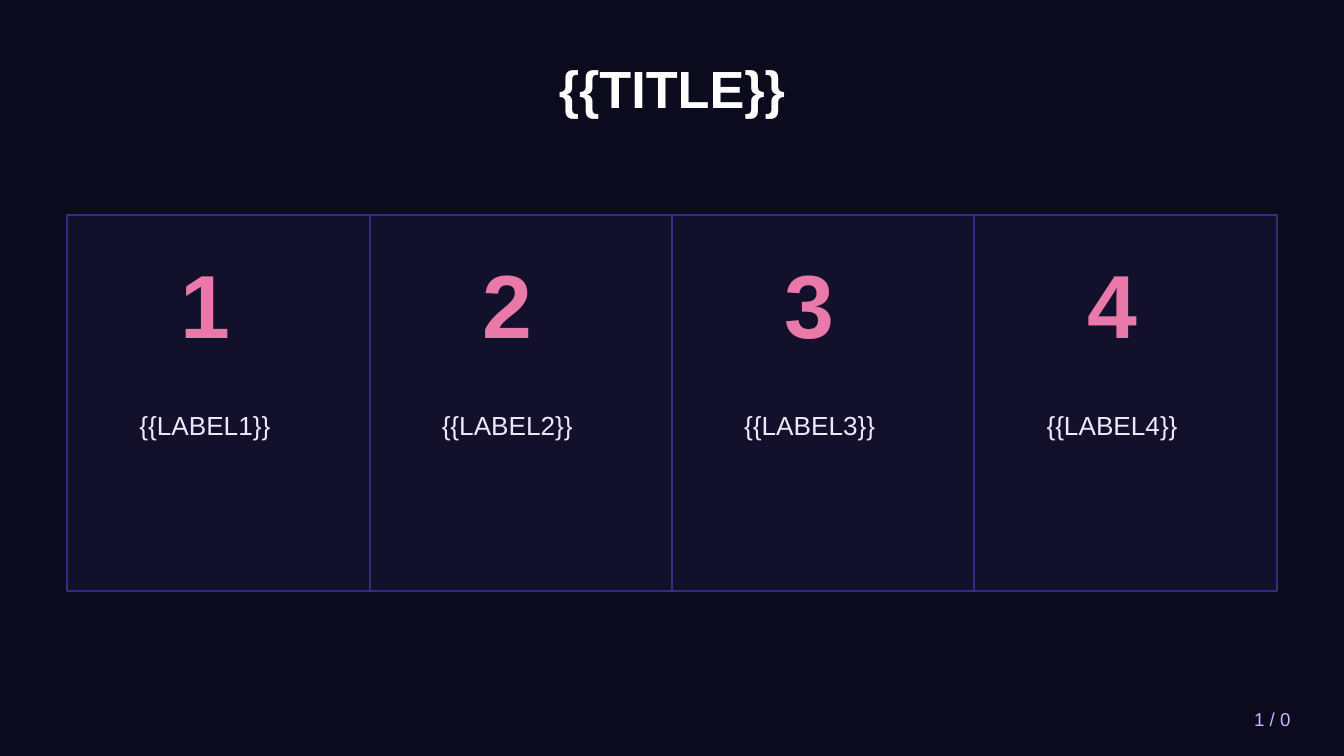
from dataclasses import dataclass

from pptx import Presentation
from pptx import util as u
from pptx.dml import color
from pptx.enum import shapes, text

FONT = "Arial"
BACKGROUND, CARD_FILL, CARD_LINE = "0C0A1D", "12102A", "312E81"
WHITE, PINK, PALE, LAVENDER = "FFFFFF", "E879A9", "F0E6FF", "C4B5FD"

SLIDE_WIDTH = 10
SLIDE_HEIGHT = SLIDE_WIDTH * 9 / 16
CARD_LEFT, CARD_TOP = 0.5, 1.6
CARD_WIDTH, CARD_HEIGHT = 2.25, 2.8
TEXT_WIDTH = 2.05


@dataclass
class Box:
    left: float
    top: float
    width: float
    height: float

    def lengths(self) -> list[u.Length]:
        return [u.Inches(n) for n in (self.left, self.top, self.width, self.height)]


@dataclass
class Style:
    size: int
    color: str
    bold: bool = False
    align: text.PP_ALIGN = text.PP_ALIGN.CENTER
    anchor: text.MSO_ANCHOR = text.MSO_ANCHOR.MIDDLE


@dataclass
class Card:
    number: str
    label: str


TITLE = Style(28, WHITE, bold=True)
NUMBER = Style(48, PINK, bold=True)
LABEL = Style(14, PALE, anchor=text.MSO_ANCHOR.TOP)
PAGE = Style(10, LAVENDER, align=text.PP_ALIGN.RIGHT)

CARDS = [
    Card("1", "{{LABEL1}}"),
    Card("2", "{{LABEL2}}"),
    Card("3", "{{LABEL3}}"),
    Card("4", "{{LABEL4}}"),
]


def rgb(value: str) -> color.RGBColor:
    return color.RGBColor.from_string(value)


def write(shape, words: str, style: Style) -> None:
    frame = shape.text_frame
    frame.text = words
    frame.word_wrap = True
    frame.auto_size = text.MSO_AUTO_SIZE.NONE
    frame.vertical_anchor = style.anchor
    paragraph = frame.paragraphs[0]
    paragraph.alignment = style.align
    font = paragraph.runs[0].font
    font.name = FONT
    font.size = u.Pt(style.size)
    font.bold = style.bold
    font.color.rgb = rgb(style.color)


def add_text(slide, box: Box, words: str, style: Style) -> None:
    write(slide.shapes.add_textbox(*box.lengths()), words, style)


def add_card(slide, left: float, card: Card) -> None:
    box = Box(left, CARD_TOP, CARD_WIDTH, CARD_HEIGHT)
    panel = slide.shapes.add_shape(shapes.MSO_SHAPE.RECTANGLE, *box.lengths())
    panel.shadow.inherit = False
    panel.fill.solid()
    panel.fill.fore_color.rgb = rgb(CARD_FILL)
    panel.line.color.rgb = rgb(CARD_LINE)
    panel.line.width = u.Pt(1)
    add_text(slide, Box(left, 1.5, TEXT_WIDTH, 1.5), card.number, NUMBER)
    add_text(slide, Box(left, 3, TEXT_WIDTH, 1), card.label, LABEL)


def main() -> None:
    presentation = Presentation()
    presentation.slide_width = u.Inches(SLIDE_WIDTH)
    presentation.slide_height = u.Inches(SLIDE_HEIGHT)
    slide = presentation.slides.add_slide(presentation.slide_layouts[5])
    slide.background.fill.solid()
    slide.background.fill.fore_color.rgb = rgb(BACKGROUND)

    title = slide.shapes.title
    title.left, title.top, title.width, title.height = Box(0.5, 0.3, 9, 0.7).lengths()
    write(title, "{{TITLE}}", TITLE)

    for index, card in enumerate(CARDS):
        add_card(slide, CARD_LEFT + index * CARD_WIDTH, card)

    add_text(slide, Box(8.5, 5.2, 1.2, 0.3), "1 / 0", PAGE)
    presentation.save("out.pptx")


if __name__ == "__main__":
    main()
